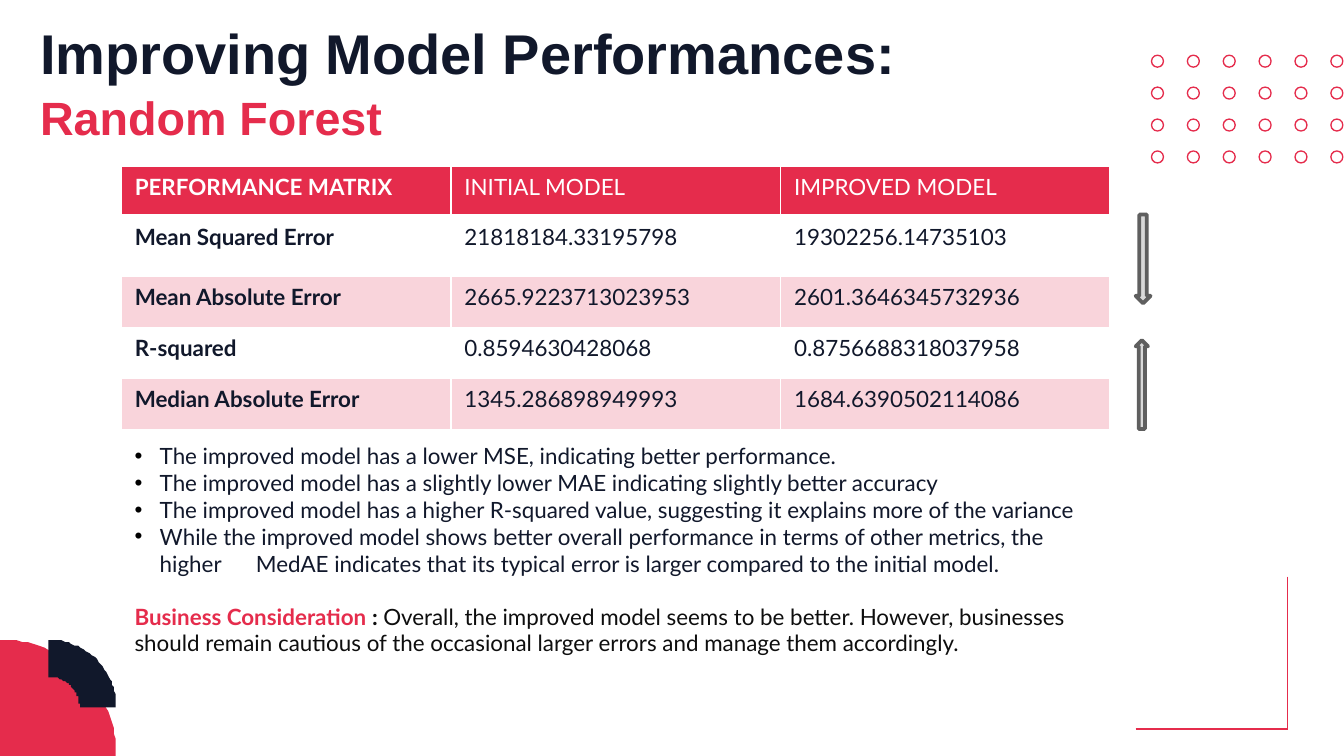
from math import cos, pi, sin

from lxml.etree import SubElement
from pptx import Presentation
from pptx.dml.color import RGBColor
from pptx.enum.shapes import MSO_CONNECTOR, MSO_SHAPE
from pptx.enum.text import MSO_ANCHOR
from pptx.oxml.ns import qn
from pptx.util import Pt

COLORS = {
    "red": "E52C4C",
    "navy": "11182B",
    "ink": "0E0E0E",
    "white": "FFFFFF",
    "black": "000000",
    "silver": "D9D9D9",
    "gray": "5F5F5F",
}

TABLE_ROWS = [
    ("PERFORMANCE MATRIX", "INITIAL MODEL", "IMPROVED MODEL"),
    ("Mean Squared Error", "21818184.33195798", "19302256.14735103"),
    ("Mean Absolute Error", "2665.9223713023953", "2601.3646345732936"),
    ("R-squared", "0.8594630428068", "0.8756688318037958"),
    ("Median Absolute Error", "1345.286898949993", "1684.6390502114086"),
]
ROW_HEIGHTS = [27, 32.2, 27.3, 27.3, 27.3]

FINDINGS = [
    "The improved model has a lower MSE, indicating better performance.",
    "The improved model has a slightly lower MAE indicating slightly better accuracy",
    "The improved model has a higher R-squared value, suggesting it explains more of the variance",
    "While the improved model shows better overall performance in terms of other metrics, "
    "the higher\tMedAE indicates that its typical error is larger compared to the initial model.",
]
CONSIDERATION = [
    ("Business Consideration ", "red", True),
    (":\u00a0", "ink", True),
    ("Overall, the improved model seems to be better. However, businesses should "
     "remain\u00a0cautious of the occasional larger errors and manage them accordingly.", "ink", False),
]


def rgb(name):
    return RGBColor.from_string(COLORS[name])


def apply_format(target, values):
    for name, value in values.items():
        setattr(target, name, value)


def add_span(para, text, color, bold=False, size=12, font="Lato"):
    span = para.add_run()
    span.text = text
    apply_format(span.font, {"name": font, "size": Pt(size), "bold": bold})
    span.font.color.rgb = rgb(color)


def add_text_box(page, left, top, width, height, margin_top=7.2):
    box = page.shapes.add_textbox(Pt(left), Pt(top), Pt(width), Pt(height))
    frame = box.text_frame
    apply_format(frame, {
        "word_wrap": True,
        "vertical_anchor": MSO_ANCHOR.TOP,
        "margin_left": Pt(7.2),
        "margin_right": Pt(7.2),
        "margin_top": Pt(margin_top),
        "margin_bottom": Pt(0),
    })
    return frame


def paint(shape, fill=None, line=None, weight=1):
    shape.shadow.inherit = False
    if fill:
        shape.fill.solid()
        shape.fill.fore_color.rgb = rgb(fill)
    else:
        shape.fill.background()
    if line:
        shape.line.color.rgb = rgb(line)
        shape.line.width = Pt(weight)
    else:
        shape.line.fill.background()


def add_preset(page, kind, left, top, width, height, **style):
    shape = page.shapes.add_shape(kind, Pt(left), Pt(top), Pt(width), Pt(height))
    paint(shape, **style)


def add_line(page, start, end):
    line = page.shapes.add_connector(MSO_CONNECTOR.STRAIGHT, *map(Pt, start + end))
    line.line.color.rgb = rgb("red")
    line.line.width = Pt(0.75)
    SubElement(line._element.spPr, qn("a:effectLst"))


def arc_points(center, radius, steps=32):
    x, y = center
    angles = [pi / 2 * step / steps for step in range(steps + 1)]
    return [(x + radius * sin(angle), y - radius * cos(angle)) for angle in angles]


def add_quarter(page, center, outer, inner, fill):
    inside = arc_points(center, inner)[::-1] if inner else [center]
    points = arc_points(center, outer) + inside
    builder = page.shapes.build_freeform(*points[0], scale=Pt(1))
    builder.add_line_segments(points[1:], close=True)
    paint(builder.convert_to_shape(), fill=fill)


def add_dot_grid(page, columns=6, rows=4):
    for row in range(rows):
        for column in range(columns):
            add_preset(page, MSO_SHAPE.OVAL, 616.9 + column * 19.22, 29.6 + row * 17.1,
                       6.4, 6.4, line="red", weight=0.7)


def add_border(cell, side, weight):
    edge = SubElement(cell._tc.get_or_add_tcPr(), qn(f"a:{side}"), w=str(Pt(weight)))
    SubElement(SubElement(edge, qn("a:solidFill")), qn("a:srgbClr"), val=COLORS["white"])


def fill_cell(cell, row):
    if row % 2:
        cell.fill.background()
        return
    cell.fill.solid()
    cell.fill.fore_color.rgb = rgb("red")
    if row:
        tint = cell._tc.tcPr.find(f".//{qn('a:solidFill')}[last()]")
        color = cell._tc.tcPr.findall(qn("a:solidFill"))[-1][0] if tint is not None else None
        SubElement(color, qn("a:alpha"), val="20000")


def add_metrics_table(page):
    table = page.shapes.add_table(len(TABLE_ROWS), 3, Pt(65), Pt(89), Pt(530), Pt(141)).table
    for column in table.columns:
        column.width = Pt(176.6)
    for row, texts in enumerate(TABLE_ROWS):
        table.rows[row].height = Pt(ROW_HEIGHTS[row])
        for column, text in enumerate(texts):
            cell = table.cell(row, column)
            for side in ("lnL", "lnR", "lnT", "lnB"):
                add_border(cell, side, 3 if (row, side) == (0, "lnB") else 1)
            fill_cell(cell, row)
            add_span(cell.text_frame.paragraphs[0], text,
                     "navy" if row else "white", bold=column == 0)


def add_bullet(para):
    properties = para._p.get_or_add_pPr()
    properties.set("marL", str(Pt(13.5)))
    properties.set("indent", str(Pt(-13.5)))
    SubElement(SubElement(properties, qn("a:buClr")), qn("a:srgbClr"), val=COLORS["black"])
    SubElement(properties, qn("a:buFont"), typeface="Arial")
    SubElement(properties, qn("a:buChar"), char="•")
    stops = SubElement(properties, qn("a:tabLst"))
    SubElement(stops, qn("a:tab"), pos=str(Pt(65)), algn="l")


def add_title(page):
    frame = add_text_box(page, 14.4, 0, 622, 76, margin_top=10)
    add_span(frame.paragraphs[0], "Improving Model Performances:", "navy", True, 30, "Arial")
    para = frame.add_paragraph()
    para.space_before = Pt(1.7)
    add_span(para, "Random Forest", "red", True, 25, "Arial")


def add_findings(page):
    frame = add_text_box(page, 65, 229.7, 530, 148)
    for index, text in enumerate(FINDINGS):
        para = frame.add_paragraph() if index else frame.paragraphs[0]
        add_bullet(para)
        add_span(para, text, "navy")
    para = frame.add_paragraph()
    para.space_before = Pt(14)
    for text, color, bold in CONSIDERATION:
        add_span(para, text, color, bold)


def main():
    deck = Presentation()
    apply_format(deck, {"slide_width": Pt(720), "slide_height": Pt(405)})
    page = deck.slides.add_slide(deck.slide_layouts[6])
    add_line(page, (608.4, 390.6), (690, 390.6))
    add_line(page, (689.6, 309), (689.6, 390.6))
    add_dot_grid(page)
    add_quarter(page, (0, 405), 62.4, 0, "red")
    add_quarter(page, (26.2, 379), 36.2, 16.4, "navy")
    add_title(page)
    add_metrics_table(page)
    add_findings(page)
    arrow_style = {"fill": "silver", "line": "gray", "weight": 2}
    add_preset(page, MSO_SHAPE.DOWN_ARROW, 608.4, 115, 8, 47.5, **arrow_style)
    add_preset(page, MSO_SHAPE.UP_ARROW, 608.4, 182.3, 6.6, 47.5, **arrow_style)
    deck.save("out.pptx")


if __name__ == "__main__":
    main()
